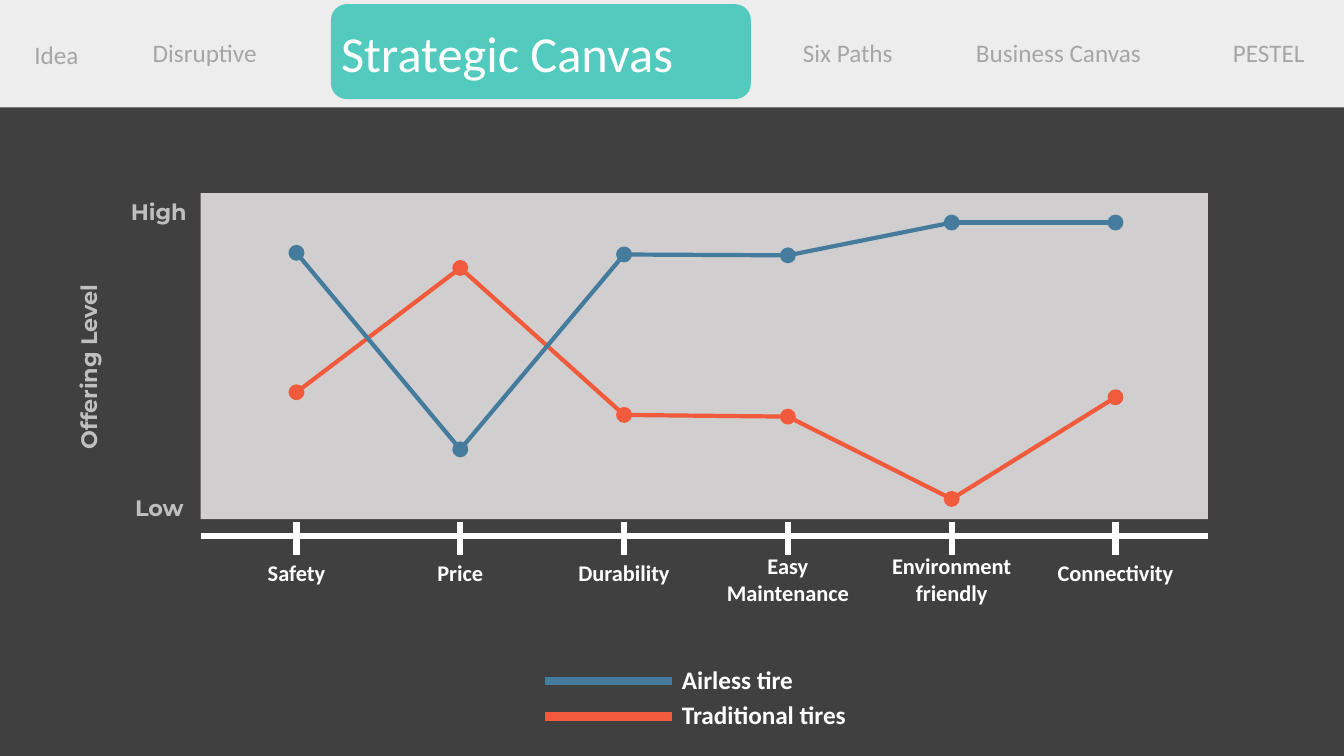
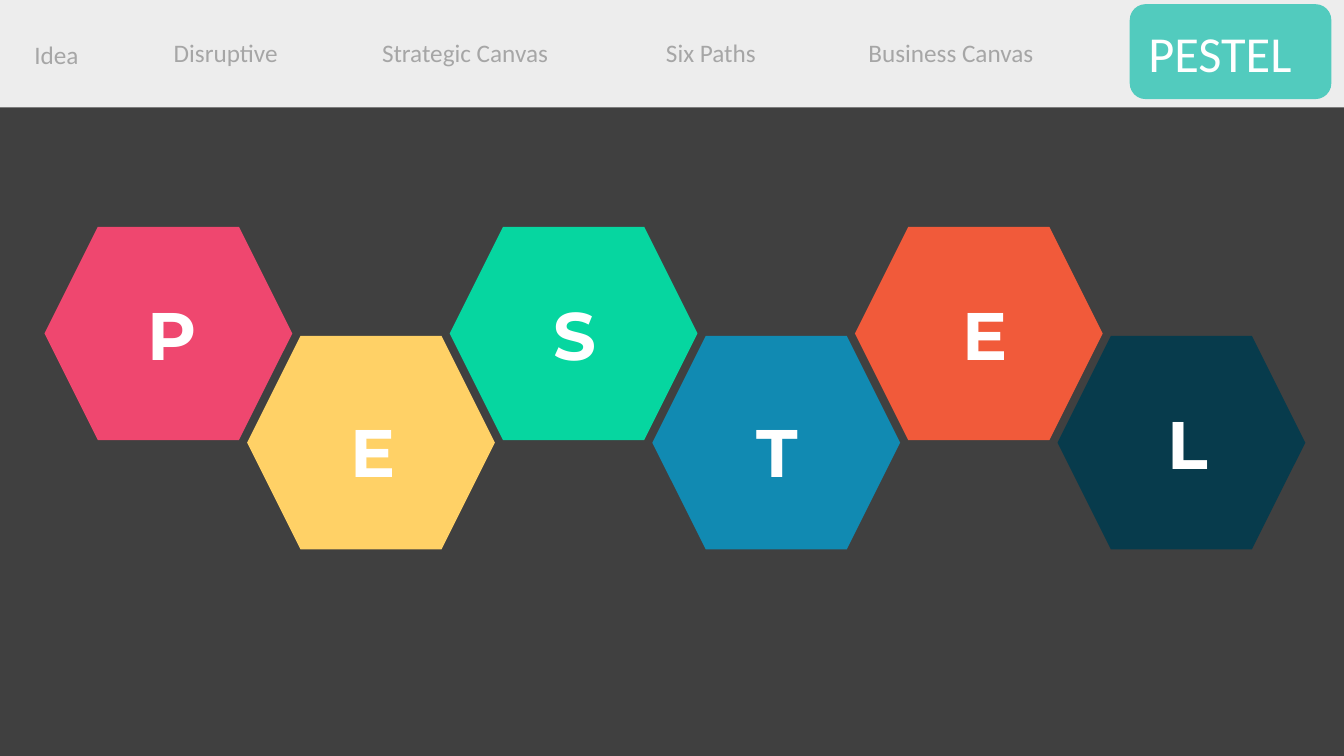
from lxml import etree
from pptx import Presentation
from pptx.dml.color import RGBColor
from pptx.enum.shapes import MSO_CONNECTOR, MSO_SHAPE
from pptx.enum.text import MSO_ANCHOR, MSO_AUTO_SIZE, PP_ALIGN
from pptx.oxml.ns import qn
from pptx.util import Inches, Pt

RECT, ROUND = MSO_SHAPE.RECTANGLE, MSO_SHAPE.ROUNDED_RECTANGLE
DOT, HEX = MSO_SHAPE.OVAL, MSO_SHAPE.HEXAGON
LINE = MSO_CONNECTOR.STRAIGHT
TOP, MID = MSO_ANCHOR.TOP, MSO_ANCHOR.MIDDLE
LEFT, CENTER = PP_ALIGN.LEFT, PP_ALIGN.CENTER
FIXED = MSO_AUTO_SIZE.NONE

DARK = RGBColor(0x40, 0x40, 0x40)
BAND = RGBColor(0xED, 0xED, 0xED)
TEAL = RGBColor(0x52, 0xCB, 0xBE)
MUTED = RGBColor(0xA6, 0xA6, 0xA6)
SILVER = RGBColor(0xBF, 0xBF, 0xBF)
PLOT = RGBColor(0xD0, 0xCE, 0xCE)
WHITE = RGBColor(0xFF, 0xFF, 0xFF)
BLUE = RGBColor(0x45, 0x7B, 0x9D)
CORAL = RGBColor(0xF1, 0x5A, 0x3A)
PINK = RGBColor(0xEF, 0x47, 0x6F)
YELLOW = RGBColor(0xFF, 0xD1, 0x66)
GREEN = RGBColor(0x06, 0xD6, 0xA0)
OCEAN = RGBColor(0x11, 0x8A, 0xB2)
NAVY = RGBColor(0x07, 0x3B, 0x4C)

BODY, HEAD = "Calibri", "Montserrat"

# Grid: 160 columns by 90 rows
COLS, ROWS = 160, 90
WIDE, HIGH = Inches(13.333), Inches(7.5)

# Width of each menu entry, in columns
MENU = {"Idea": 8.5, "Disruptive": 18, "Strategic Canvas": 26.4,
        "Six Paths": 16, "Business Canvas": 25.6, "PESTEL": 12.5}


def grid(x, y):
    return round(x * WIDE / COLS), round(y * HIGH / ROWS)


def write(shape, text, size=18, color=WHITE, font=BODY, bold=False,
          align=LEFT, anchor=MID):
    """Fill a shape with text, one paragraph a line."""
    frame = shape.text_frame
    frame.word_wrap, frame.auto_size = True, FIXED
    frame.vertical_anchor = anchor
    frame.text = text
    for para in frame.paragraphs:
        para.alignment = align
        para.font.name, para.font.size = font, Pt(size)
        para.font.bold, para.font.color.rgb = bold, color


class Deck:
    def __init__(self):
        self.prs = Presentation()
        self.prs.slide_width, self.prs.slide_height = WIDE, HIGH
        back = self.prs.slide_master.background.fill
        back.solid()
        back.fore_color.rgb = DARK

    def start(self, title, pill, menu, inset=0):
        """Add a slide with its menu band; pill is (left, width)."""
        self.slide = self.prs.slides.add_slide(self.prs.slide_layouts[5])
        self.shape(RECT, 0, 0, COLS, 12.8, BAND)
        self.shape(ROUND, pill[0], 0.5, pill[1], 11.3, TEAL)
        for name, x in menu.items():
            y = 4.1 if name == "Idea" else 3.85
            self.text(name, x, y, MENU[name], 4.8, color=MUTED)
        # Title above the band
        head = self.slide.shapes.title
        head.left, head.top = grid(pill[0] + inset, 2)
        head.width, head.height = grid(pill[1], 8.5)
        write(head, title, size=36)
        self.slide.shapes.element.append(head.element)

    def shape(self, kind, x, y, w, h, color, home=None):
        item = (home or self.slide).shapes.add_shape(
            kind, *grid(x, y), *grid(w, h))
        item.shadow.inherit = False
        item.fill.solid()
        item.fill.fore_color.rgb = color
        item.line.fill.background()

    def text(self, text, x, y, w, h, home=None, turn=0, **style):
        box = (home or self.slide).shapes.add_textbox(
            *grid(x, y), *grid(w, h))
        box.rotation = turn
        write(box, text, **style)

    def line(self, start, end, color=WHITE, width=4.5):
        item = self.slide.shapes.add_connector(
            LINE, *grid(*start), *grid(*end))
        item.line.color.rgb, item.line.width = color, Pt(width)
        etree.SubElement(item.element.spPr, qn("a:effectLst"))

    def group(self):
        return self.slide.shapes.add_group_shape()


def canvas(deck):
    deck.start("Strategic Canvas", (39.4, 50),
               {"Idea": 2.9, "Disruptive": 17, "Six Paths": 94.4,
                "Business Canvas": 115, "PESTEL": 145.6})
    left, right, axis = 23.9, 143.8, 63.8
    deck.shape(RECT, left, 23, right - left, 38.8, PLOT)

    # Curves, then their dots
    names = ["Safety", "Price", "Durability", "Easy\nMaintenance",
             "Environment friendly", "Connectivity"]
    xs = [35.3 + 19.5 * i for i in range(len(names))]
    curves = [
        ("Traditional tires", CORAL, [46.7, 31.9, 49.4, 49.6, 59.4, 47.3], 85.3),
        ("Airless tire", BLUE, [30.1, 53.5, 30.3, 30.4, 26.5, 26.5], 81.1)]
    dot = 1.9
    for _, color, ys, _ in curves:
        spots = list(zip(xs, ys))
        for start, end in zip(spots, spots[1:]):
            deck.line(start, end, color, 3)
    for _, color, ys, _ in curves:
        for x, y in zip(xs, ys):
            deck.shape(DOT, x - dot / 2, y - dot / 2, dot, dot, color)

    # Factor axis
    deck.line((left, axis), (right, axis))
    wide = 24.5
    for name, x in zip(names, xs):
        deck.line((x, 62.2), (x, 66.1))
        y, h = (65.2, 7.7) if len(name) > 12 or "\n" in name else (66, 4.4)
        deck.text(name, x - wide / 2, y, wide, h, size=16, bold=True,
                  align=CENTER, anchor=TOP)

    # Level axis
    for name, x, y, w, turn in [("High", 14.4, 23, 10.4, 0),
                                ("Low", 14.9, 58.2, 8.9, 0),
                                ("Offering Level", -2, 40, 25, 270)]:
        deck.text(name, x, y, w, 4.4, turn=turn, size=16, color=SILVER,
                  font=HEAD, bold=True)

    # Legend
    for name, color, _, y in curves:
        deck.line((64.9, y), (80, y), color, 6)
        deck.text(name, 80, y - 2.6, wide, 4.8, bold=True, anchor=TOP)


def pestel(deck):
    deck.start("PESTEL", (134.5, 24),
               {"Idea": 2.9, "Disruptive": 19.5, "Strategic Canvas": 44.3,
                "Six Paths": 78.1, "Business Canvas": 102.2}, inset=1)
    # Hexagons, with the shift of each letter from the centre
    cells = [("P", PINK, 0.5, 0), ("E", YELLOW, 0.2, 1),
             ("S", GREEN, 0.2, 0), ("T", OCEAN, 0.1, 1),
             ("E", CORAL, 0.7, 0), ("L", NAVY, 0.8, 0)]
    w, h, tw, th = 29.5, 25.4, 12.5, 10.9
    for i, (mark, color, dx, dy) in enumerate(cells):
        x, y = 5.3 + 24.12 * i, 27 + 13 * (i % 2)
        home = deck.group()
        deck.shape(HEX, x, y, w, h, color, home)
        deck.text(mark, x + (w - tw) / 2 + dx, y + (h - th) / 2 + dy, tw, th,
                  home, size=48, font=HEAD, bold=True, align=CENTER)


def main():
    deck = Deck()
    canvas(deck)
    pestel(deck)
    deck.prs.save("out.pptx")


if __name__ == "__main__":
    main()
